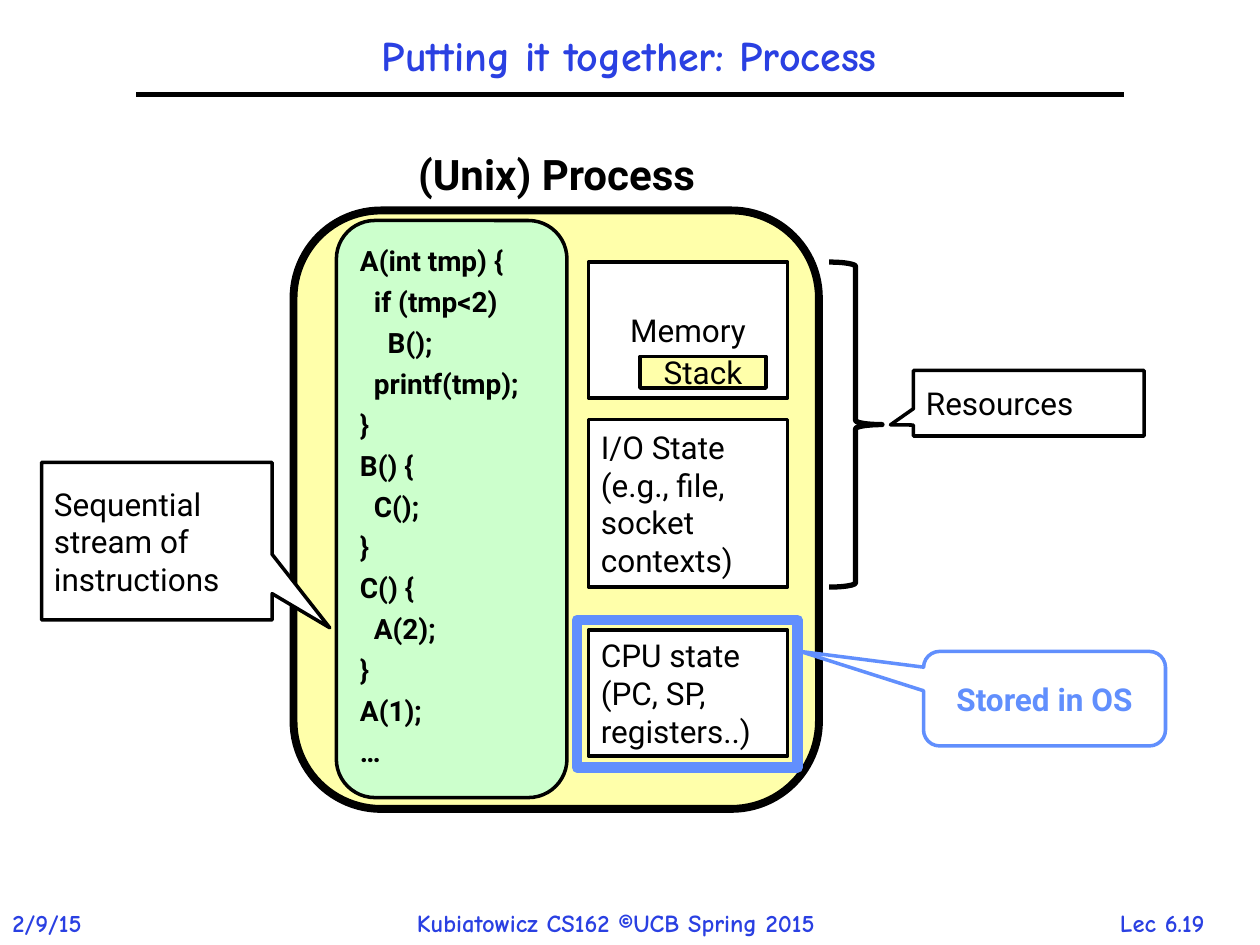
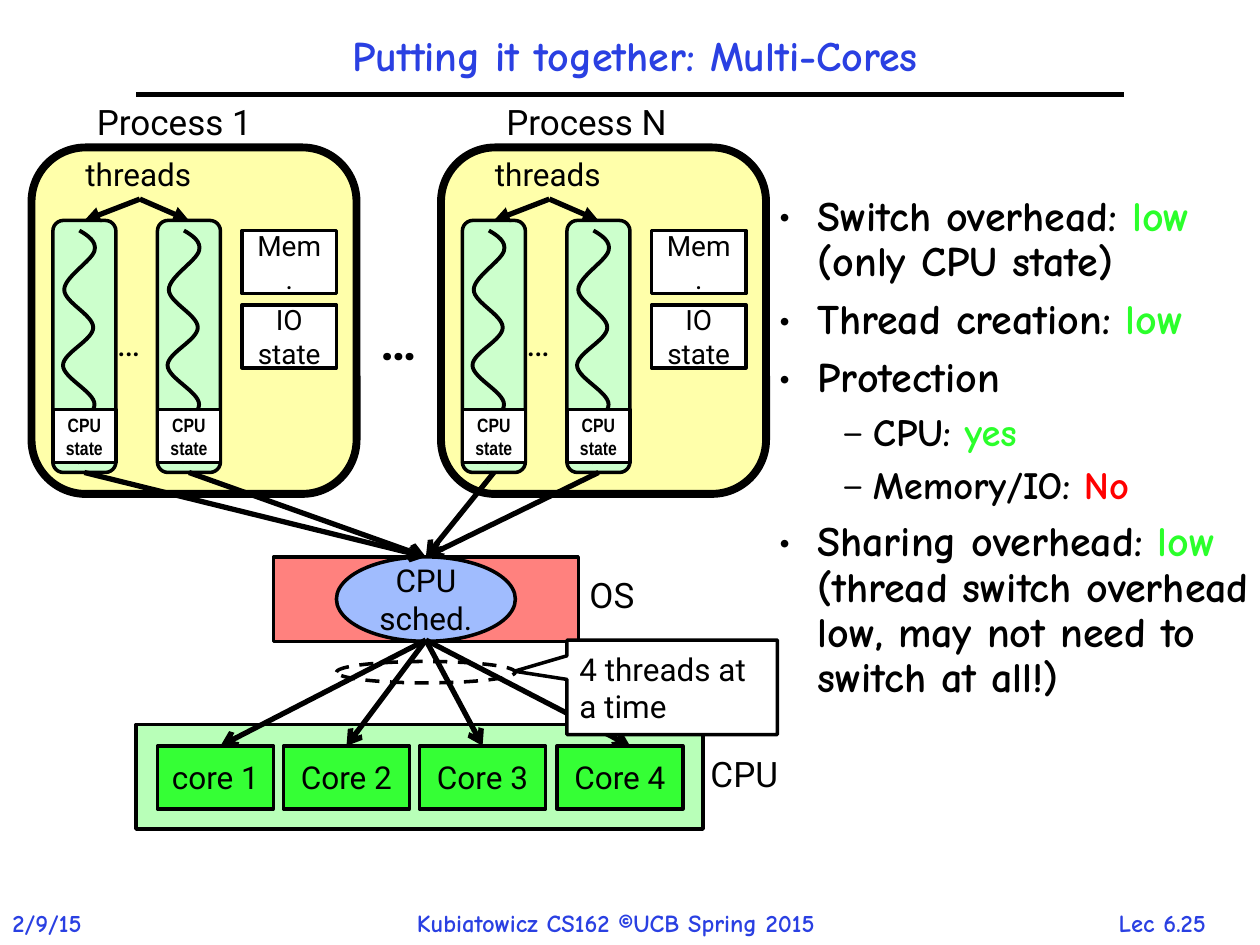
from lxml import etree
from pptx import Presentation
from pptx import util as u
from pptx.dml.color import RGBColor
from pptx.enum import dml, shapes, text
from pptx.oxml import ns

Inches, Pt = u.Inches, u.Pt
SHAPE, ALIGN = shapes.MSO_SHAPE, text.PP_ALIGN

BLACK, WHITE = "000000", "FFFFFF"
TITLE_BLUE, OS_BLUE, SCHED_BLUE = "2A40E2", "618FFD", "A0BCFE"
YELLOW, THREAD_GREEN, CPU_GREEN, CORE_GREEN = "FFFFAA", "CCFFCC", "B8FFB8", "35FF35"
OS_RED, GOOD, BAD = "FF817E", "2BFF2B", "FF0000"
HAND, BODY, NARROW = "Comic Neue", "Roboto", "Arial Narrow"

CODE = """A(int tmp) {
  if (tmp<2)
    B();
  printf(tmp);
}
B() {
  C();
}
C() {
  A(2);
}
A(1);
…"""

# Cubic segments of a thread's wavy line: offsets from the thread's left, slide heights
WAVE_START = (0.21, 1.83)
WAVE = [
    ((0.28, 1.87), (0.35, 1.92), (0.33, 1.99)),
    ((0.31, 2.07), (0.09, 2.2), (0.09, 2.3)),
    ((0.09, 2.4), (0.32, 2.5), (0.32, 2.6)),
    ((0.32, 2.7), (0.08, 2.8), (0.08, 2.9)),
    ((0.08, 3), (0.33, 3.11), (0.33, 3.21)),
    ((0.33, 3.31), (0.11, 3.44), (0.09, 3.52)),
    ((0.07, 3.6), (0.21, 3.67), (0.21, 3.67)),
]

BULLETS = [
    (0, [("Switch overhead: ", BLACK), ("low ", GOOD), ("(only CPU state)", BLACK)]),
    (0, [("Thread creation: ", BLACK), ("low", GOOD)]),
    (0, [("Protection", BLACK)]),
    (1, [("CPU: ", BLACK), ("yes", GOOD)]),
    (1, [("Memory/IO: ", BLACK), ("No", BAD)]),
    (0, [("Sharing overhead: ", BLACK), ("low", GOOD),
         (" (thread switch overhead low, may not need to switch at all!)", BLACK)]),
]
# Bullet character, size, left margin and hanging indent of each level
LEVELS = [("•", 24, 0.31, 0.31), ("–", 22, 0.75, 0.25)]


def rgb(color):
    return RGBColor.from_string(color)


def style_font(font, size, name, color, bold):
    font.size, font.name, font.bold = Pt(size), name, bold
    font.color.rgb = rgb(color)


def write(frame, words, size, font=BODY, color=BLACK, bold=False, align=ALIGN.LEFT,
          spacing=1.0, before=0):
    """Put one paragraph per line of words into a text frame."""
    frame.text = words
    for index, paragraph in enumerate(frame.paragraphs):
        paragraph.alignment, paragraph.line_spacing = align, spacing
        if index and before:
            paragraph.space_before = Pt(before)
        for run in paragraph.runs:
            style_font(run.font, size, font, color, bold)


def label(slide, words, left, top, width, height, size, wrap=False, **style):
    frame = slide.shapes.add_textbox(*map(Inches, (left, top, width, height))).text_frame
    frame.word_wrap = wrap
    if wrap:
        frame.vertical_anchor = text.MSO_ANCHOR.MIDDLE
    else:
        frame.auto_size = text.MSO_AUTO_SIZE.SHAPE_TO_FIT_TEXT
    write(frame, words, size, **style)


def block(slide, kind, left, top, width, height, fill=WHITE, border=BLACK, weight=2,
          adjust=(), words="", size=18, **style):
    """Add a bordered preset shape, with text when words are given."""
    shape = slide.shapes.add_shape(kind, *map(Inches, (left, top, width, height)))
    shape.shadow.inherit = False
    for index, value in enumerate(adjust):
        shape.adjustments[index] = value
    if fill:
        shape.fill.solid()
        shape.fill.fore_color.rgb = rgb(fill)
    else:
        shape.fill.background()
    shape.line.color.rgb, shape.line.width = rgb(border), Pt(weight)
    if words:
        shape.text_frame.word_wrap = True
        shape.text_frame.vertical_anchor = text.MSO_ANCHOR.MIDDLE
        write(shape.text_frame, words, size, **style)
    return shape


def line(slide, start, end, head=None, source=None, target=None):
    """Draw a line; source is joined at its bottom and target at its top."""
    connector = slide.shapes.add_connector(
        shapes.MSO_CONNECTOR.STRAIGHT, *map(Inches, (*start, *end)))
    connector.line.color.rgb, connector.line.width = rgb(BLACK), Pt(3)
    if head:
        etree.SubElement(connector.line._get_or_add_ln(), ns.qn("a:tailEnd"), type=head)
    etree.SubElement(connector._element.spPr, ns.qn("a:effectLst"))
    if source:
        connector.begin_connect(source, 2)
    if target:
        connector.end_connect(target, 0)


def add_slide(deck, title, left, width, number):
    """Start a slide with the shared title, rule and footer."""
    slide = deck.slides.add_slide(deck.slide_layouts[6])
    hand = dict(font=HAND, color=TITLE_BLUE, bold=True)
    label(slide, number, 8.62, 7.16, 1.21, 0.33, 14, align=ALIGN.CENTER, **hand)
    label(slide, "2/9/15", 0, 7.16, 0.88, 0.34, 14, **hand)
    label(slide, "Kubiatowicz CS162 ©UCB Spring 2015", 3.21, 7.16, 3.87, 0.34, 14, **hand)
    line(slide, (1.08, 0.75), (8.92, 0.75))
    label(slide, title, left, 0.17, width, 0.58, 24, wrap=True, align=ALIGN.CENTER,
          spacing=0.9, **hand)
    return slide


def wave(slide, left):
    """Outline the segment ends, then turn each straight piece into its cubic curve."""
    def place(point):
        return Inches(left + point[0]), Inches(point[1])

    builder = slide.shapes.build_freeform(*place(WAVE_START))
    builder.add_line_segments([place(segment[-1]) for segment in WAVE], close=False)
    curve = builder.convert_to_shape()
    for straight, segment in zip(list(curve._element.iter(ns.qn("a:lnTo"))), WAVE):
        bend = etree.Element(ns.qn("a:cubicBezTo"))
        for x, y in map(place, segment):
            etree.SubElement(bend, ns.qn("a:pt"), x=str(x - curve.left), y=str(y - curve.top))
        straight.getparent().replace(straight, bend)
    curve.shadow.inherit = False
    curve.fill.background()
    curve.line.color.rgb, curve.line.width = rgb(BLACK), Pt(2.25)


def thread(slide, left):
    body = block(slide, SHAPE.ROUNDED_RECTANGLE, left, 1.75, 0.5, 2, THREAD_GREEN)
    wave(slide, left)
    block(slide, SHAPE.RECTANGLE, left, 3.25, 0.5, 0.42, words="CPU\nstate", size=11,
          font=NARROW, bold=True, align=ALIGN.CENTER)
    return body


def process(slide, left, name, name_width):
    """Draw a process with two threads and return the threads."""
    label(slide, name, left + 0.42, 0.75, name_width, 0.44, 20)
    block(slide, SHAPE.ROUNDED_RECTANGLE, left, 1.17, 2.58, 2.75, YELLOW, weight=4.5)
    for top, words in ((1.83, "Mem."), (2.42, "IO\nstate")):
        block(slide, SHAPE.RECTANGLE, left + 1.67, top, 0.75, 0.5, words=words, size=16,
              align=ALIGN.CENTER)
    threads = [thread(slide, left + offset) for offset in (0.17, 1)]
    label(slide, "…", left + 0.58, 2.5, 0.48, 0.44, 20)
    label(slide, "threads", left + 0.33, 1.18, 1.04, 0.4, 18)
    for body in threads:
        line(slide, (left + 0.86, 1.58), (left + 0.86, 1.75), "triangle", target=body)
    return threads


def bullet_list(slide, left, top, width, height):
    frame = slide.shapes.add_textbox(*map(Inches, (left, top, width, height))).text_frame
    frame.word_wrap = True
    for index, (level, parts) in enumerate(BULLETS):
        mark, size, margin, hanging = LEVELS[level]
        paragraph = frame.add_paragraph() if index else frame.paragraphs[0]
        paragraph.level, paragraph.line_spacing = level, 0.9
        if index:
            paragraph.space_before = Pt(0.3 * size)
        properties = paragraph._p.get_or_add_pPr()
        properties.set("marL", str(Inches(margin)))
        properties.set("indent", str(-Inches(hanging)))
        etree.SubElement(properties, ns.qn("a:buFont"), typeface=HAND)
        etree.SubElement(properties, ns.qn("a:buChar"), char=mark)
        style_font(paragraph.font, size, HAND, BLACK, True)
        for words, color in parts:
            run = paragraph.add_run()
            run.text = words
            style_font(run.font, size, HAND, color, True)


def process_slide(deck):
    slide = add_slide(deck, "Putting it together: Process", 1.08, 7.83, "Lec 6.19")
    block(slide, SHAPE.ROUNDED_RECTANGLE, 2.33, 1.67, 4.17, 4.75, YELLOW, weight=4.5)
    block(slide, SHAPE.RECTANGLE, 4.67, 2.08, 1.58, 1.08, words="Memory", align=ALIGN.CENTER)
    block(slide, SHAPE.RECTANGLE, 4.67, 3.33, 1.58, 1.33,
          words="I/O State\n(e.g., file, socket contexts)")
    block(slide, SHAPE.RECTANGLE, 4.67, 5, 1.58, 1, words="CPU state (PC, SP, registers..)")
    block(slide, SHAPE.RECTANGULAR_CALLOUT, 0.33, 3.67, 1.83, 1.25, adjust=(0.75, 0.55),
          words="Sequential stream of instructions")
    block(slide, SHAPE.ROUNDED_RECTANGLE, 2.67, 1.75, 1.83, 4.58, THREAD_GREEN,
          words=CODE, size=16, bold=True, spacing=0.8, before=8)
    label(slide, "(Unix) Process", 3.22, 1.13, 2.56, 0.51, 24, bold=True)
    block(slide, SHAPE.RIGHT_BRACE, 6.58, 2.08, 0.42, 2.58, weight=3, adjust=(0.08, 0.5))
    block(slide, SHAPE.RECTANGULAR_CALLOUT, 7.25, 2.94, 1.83, 0.52, adjust=(-0.6, 0.33),
          words="Resources")
    block(slide, SHAPE.RECTANGLE, 5.08, 2.83, 1, 0.25, YELLOW, words="Stack",
          align=ALIGN.CENTER)
    block(slide, SHAPE.RECTANGLE, 4.58, 4.92, 1.75, 1.17, None, OS_BLUE, 6)
    block(slide, SHAPE.ROUNDED_RECTANGULAR_CALLOUT, 7.33, 5.17, 1.92, 0.75, border=OS_BLUE,
          adjust=(-1.01, -0.5, 0.17), words="Stored in OS", color=OS_BLUE, bold=True,
          align=ALIGN.CENTER)


def multi_core_slide(deck):
    slide = add_slide(deck, "Putting it together: Multi-Cores", 0.33, 9.42, "Lec 6.25")
    block(slide, SHAPE.RECTANGLE, 1.08, 5.75, 4.5, 0.83, CPU_GREEN)
    label(slide, "CPU", 5.54, 5.92, 0.79, 0.44, 20)
    block(slide, SHAPE.RECTANGLE, 2.17, 4.42, 2.42, 0.67, OS_RED)
    scheduler = block(slide, SHAPE.OVAL, 2.67, 4.42, 1.42, 0.67, SCHED_BLUE,
                      words="CPU sched.", align=ALIGN.CENTER)
    label(slide, "OS", 4.58, 4.5, 0.61, 0.44, 20)

    threads = (process(slide, 0.25, "Process 1", 1.45)
               + process(slide, 3.5, "Process N", 1.5))
    label(slide, "…", 2.92, 2.42, 0.6, 0.57, 28, bold=True)
    for body in threads:
        line(slide, (3.38, 3.75), (3.38, 4.42), "arrow", source=body, target=scheduler)

    bullet_list(slide, 6.08, 1.5, 3.98, 4.85)

    cores = [("core 1", 1.25, 0.92, 1.75), ("Core 2", 2.25, 1, 2.75),
             ("Core 3", 3.33, 1, 3.83), ("Core 4", 4.42, 1, 5)]
    for name, left, width, arrow_x in cores:
        core = block(slide, SHAPE.RECTANGLE, left, 5.92, width, 0.5, CORE_GREEN, words=name,
                     align=ALIGN.CENTER)
        centred = abs(left + width / 2 - arrow_x) < 0.01
        line(slide, (3.38, 5.08), (arrow_x, 5.92), "arrow", target=core if centred else None)
    bundle = block(slide, SHAPE.OVAL, 2.67, 5.25, 1.42, 0.17, None)
    bundle.line.dash_style = dml.MSO_LINE.DASH
    block(slide, SHAPE.RECTANGULAR_CALLOUT, 4.5, 5.08, 1.67, 0.75, adjust=(-0.75, -0.17),
          words="4 threads at a time")


def main():
    deck = Presentation()
    deck.slide_width, deck.slide_height = Inches(10), Inches(7.5)
    process_slide(deck)
    multi_core_slide(deck)
    deck.save("out.pptx")


if __name__ == "__main__":
    main()
